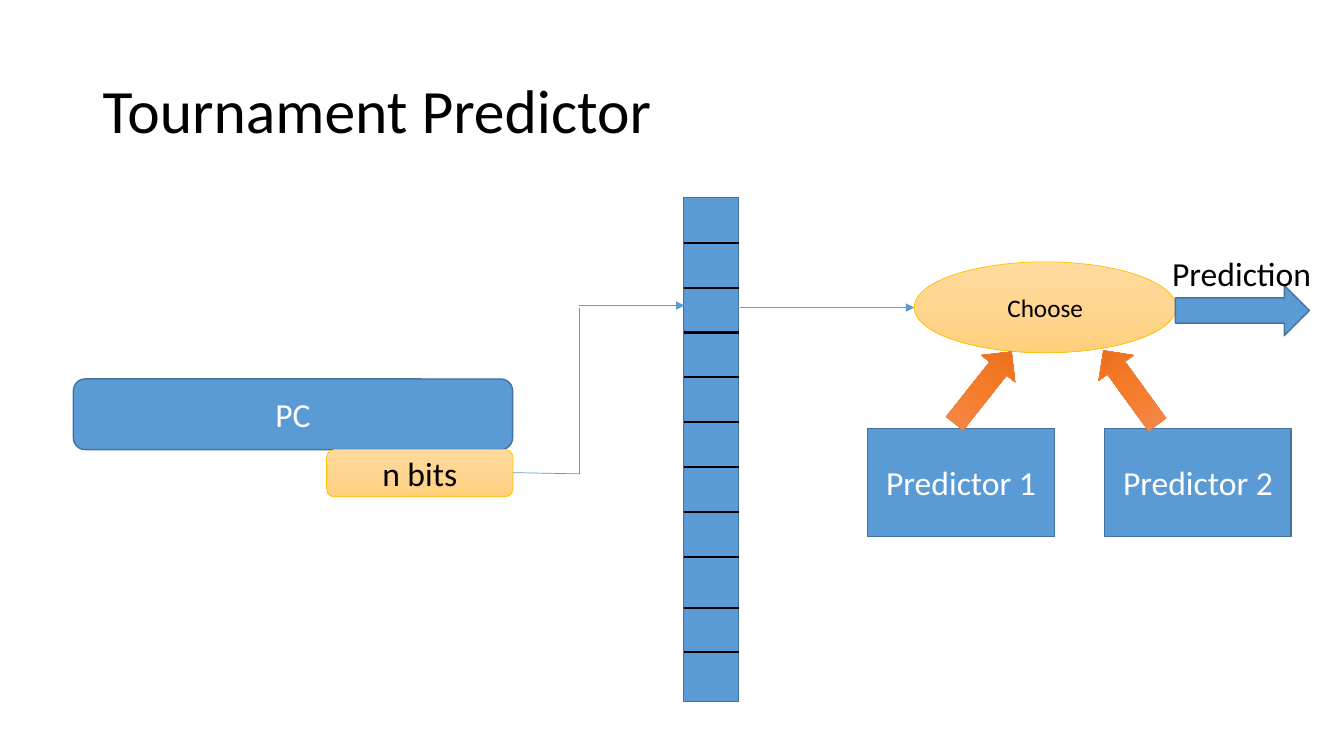
from copy import deepcopy

from lxml.etree import SubElement
from pptx import Presentation
from pptx.dml.color import RGBColor
from pptx.enum.shapes import MSO_CONNECTOR, MSO_SHAPE
from pptx.enum.text import MSO_ANCHOR, MSO_AUTO_SIZE, PP_ALIGN
from pptx.oxml.ns import qn
from pptx.util import Cm, Pt

BLUE, BLUE_EDGE = "5B9BD5", "43739E"
GOLD, GOLD_EDGE = ("FFDB9E", "FFD590", "FFD07C"), "FFC000"
ORANGE, ORANGE_EDGE = ("F18C57", "F67B28", "E56C19"), "ED7D31"
BLACK, WHITE = "000000", "FFFFFF"


def rgb(value):
    return RGBColor.from_string(value)


class Diagram:
    """Draw styled diagram elements on one slide."""

    font = "Calibri"

    def __init__(self, slide):
        self.s = slide

    def add_text(self, tf, text, size, color, align=None):
        p = tf.paragraphs[0]
        p.alignment = align
        r = p.add_run()
        r.text = text
        r.font.name = self.font
        r.font.size = Pt(size)
        r.font.color.rgb = rgb(color)
        return p

    def gradient(self, sp, colors):
        sp.fill.gradient()
        sp.fill.gradient_angle = 270
        stops = sp._element.spPr.find(qn("a:gradFill")).find(qn("a:gsLst"))
        stops.insert(1, deepcopy(stops[0]))
        for stop, color, position in zip(sp.fill.gradient_stops, colors, (0, 0.5, 1)):
            stop.color.rgb = rgb(color)
            stop.position = position

    def shape(self, kind, box, fill=BLUE, edge=BLUE_EDGE, weight=1,
              text=None, size=24, color=WHITE, rotation=0):
        sp = self.s.shapes.add_shape(kind, *map(Cm, box))
        sp.shadow.inherit = False
        sp.rotation = rotation
        if isinstance(fill, tuple):
            self.gradient(sp, fill)
        else:
            sp.fill.solid()
            sp.fill.fore_color.rgb = rgb(fill)
        sp.line.color.rgb = rgb(edge)
        sp.line.width = Pt(weight)
        if text:
            sp.text_frame.vertical_anchor = MSO_ANCHOR.MIDDLE
            self.add_text(sp.text_frame, text, size, color, PP_ALIGN.CENTER)

    def line(self, start, end, color=BLUE, weight=0.5, arrow=False):
        cn = self.s.shapes.add_connector(MSO_CONNECTOR.STRAIGHT, *map(Cm, start + end))
        cn.line.color.rgb = rgb(color)
        cn.line.width = Pt(weight)
        props = cn._element.spPr
        if arrow:
            SubElement(props.find(qn("a:ln")), qn("a:tailEnd"), type="triangle")
        SubElement(props, qn("a:effectLst"))

    def title(self, box, text):
        tf = self.s.shapes.add_textbox(*map(Cm, box)).text_frame
        tf.word_wrap = True
        tf.vertical_anchor = MSO_ANCHOR.MIDDLE
        self.add_text(tf, text, 44, BLACK).line_spacing = 0.9

    def label(self, box, text):
        tf = self.s.shapes.add_textbox(*map(Cm, box)).text_frame
        tf.word_wrap = False
        tf.auto_size = MSO_AUTO_SIZE.SHAPE_TO_FIT_TEXT
        self.add_text(tf, text, 24, BLACK)


def main():
    prs = Presentation()
    prs.slide_width, prs.slide_height = Cm(33.87), Cm(19.05)
    d = Diagram(prs.slides.add_slide(prs.slide_layouts[6]))

    d.title((2.34, 1.02, 29.21, 3.68), "Tournament Predictor")
    d.shape(MSO_SHAPE.ROUNDED_RECTANGLE, (1.85, 9.55, 11.07, 1.78), text="PC")
    d.shape(MSO_SHAPE.ROUNDED_RECTANGLE, (8.23, 11.33, 4.7, 1.19), GOLD, GOLD_EDGE, 0.5,
            text="n bits", color=BLACK)

    d.shape(MSO_SHAPE.RECTANGLE, (17.22, 4.98, 1.4, 12.7))
    for row in range(10):
        y = 6.12 + 1.13 * row + (0.15 if row > 7 else 0)
        d.line((17.23, y), (18.63, y), BLACK, 1.5)

    d.line((12.93, 11.91), (14.6, 11.94))
    d.line((14.6, 11.94), (14.6, 7.75))
    d.line((14.6, 7.7), (17.25, 7.7), arrow=True)
    d.line((18.64, 7.75), (23.04, 7.75), arrow=True)

    d.shape(MSO_SHAPE.OVAL, (23.04, 6.6, 6.6, 2.29), GOLD, GOLD_EDGE, 0.5,
            text="Choose", size=18, color=BLACK)
    for number, left in enumerate((21.87, 27.84), 1):
        d.shape(MSO_SHAPE.RECTANGLE, (left, 10.8, 4.7, 2.72), text=f"Predictor {number}")
    for left, rotation in ((24.23, 218.4), (27.94, 144)):
        d.shape(MSO_SHAPE.DOWN_ARROW, (left, 8.61, 1.09, 2.31), ORANGE, ORANGE_EDGE, 0.5,
                rotation=rotation)
    d.shape(MSO_SHAPE.RIGHT_ARROW, (29.62, 7.19, 3.38, 1.27))
    d.label((29.29, 6.25, 4.06, 1.27), "Prediction")

    prs.save("out.pptx")


if __name__ == "__main__":
    main()
